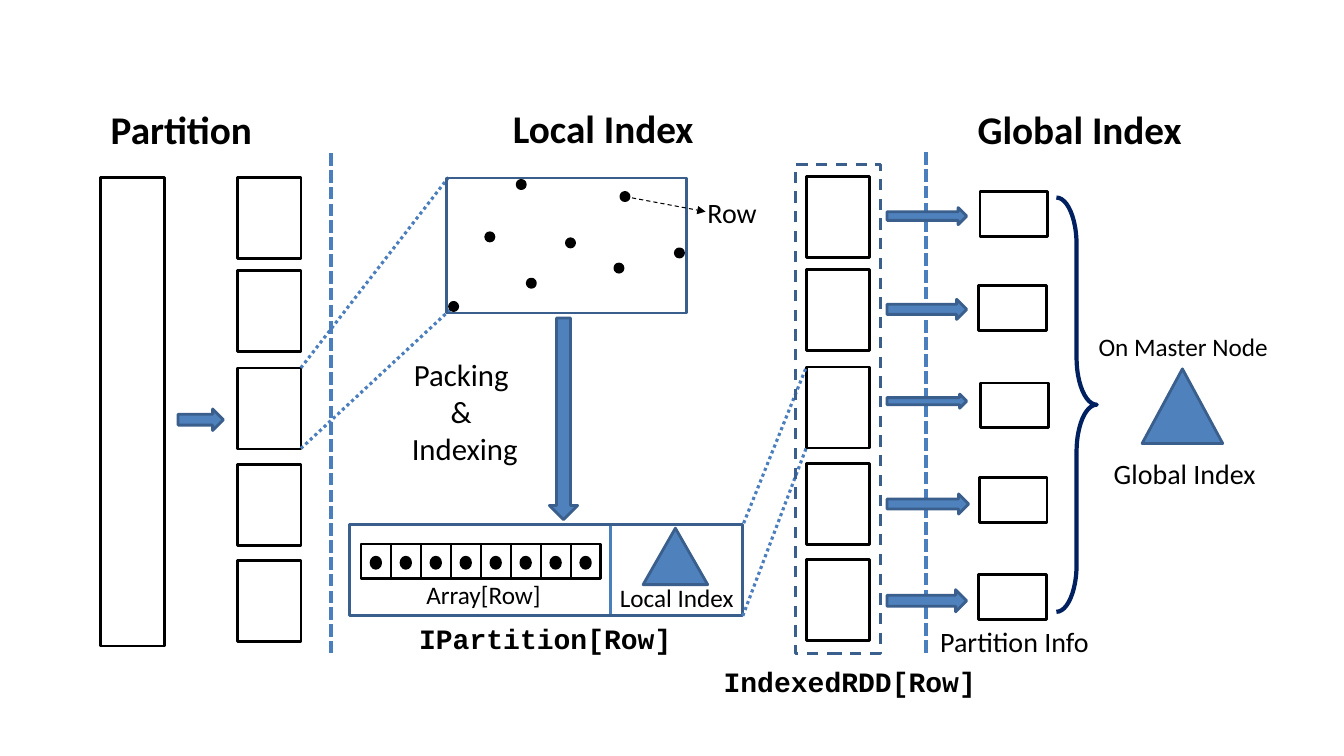
import pptx
import pptx.util
import pptx.dml.color
import pptx.enum.dml
import pptx.enum.shapes
import pptx.enum.text
import pptx.oxml
import pptx.oxml.ns

Pt = pptx.util.Pt
RGBColor = pptx.dml.color.RGBColor
Shape = pptx.enum.shapes.MSO_SHAPE
Dash = pptx.enum.dml.MSO_LINE
Align = pptx.enum.text.PP_ALIGN

BLACK = RGBColor(0x00, 0x00, 0x00)
WHITE = RGBColor(0xFF, 0xFF, 0xFF)
BLUE = RGBColor(0x4F, 0x81, 0xBD)
EDGE = RGBColor(0x3A, 0x5F, 0x8C)
GUIDE = RGBColor(0x4B, 0x7E, 0xBC)
NAVY = RGBColor(0x00, 0x20, 0x60)

BLOCK_WIDTH, BLOCK_HEIGHT = 45.4, 57.9
BLOCK_TOPS = [126.7, 193, 262.8, 331.9, 400.3]
RDD_RISE = 0.7
SLOT_COUNT, SLOT_PITCH = 8, 21.4
POINT_SIZE = 5.8
POINTS = [(321.1, 216), (347, 166.3), (369.4, 128.9), (443.5, 137.5),
          (482.4, 177.8), (376.6, 199.4), (404.6, 170.6), (439.2, 188.6)]
# Each row: arrow top, width and height, then left and top of its info box
INFO_ROWS = [(148.3, 56.9, 12.2, 700, 136.8),
             (213.8, 56.9, 14.4, 699.1, 203.8),
             (281.5, 56.9, 10.1, 700.6, 273.6),
             (352.8, 58.3, 14.4, 699.8, 341.3),
             (421.2, 56.9, 15.8, 699.1, 410.4)]


def add_figure(page, kind, left, top, width, height, fill=None, edge=BLACK,
               weight=2, dash=None):
    figure = page.shapes.add_shape(kind, Pt(left), Pt(top), Pt(width), Pt(height))
    figure.shadow.inherit = False
    if fill is None:
        figure.fill.background()
    else:
        figure.fill.solid()
        figure.fill.fore_color.rgb = fill
    figure.line.color.rgb = edge
    figure.line.width = Pt(weight)
    if dash is not None:
        figure.line.dash_style = dash
    return figure


def add_blue(page, kind, left, top, width, height):
    """Add a filled blue arrow or triangle."""
    return add_figure(page, kind, left, top, width, height, fill=BLUE, edge=EDGE)


def add_dot(page, left, top, width, height):
    return add_figure(page, Shape.OVAL, left, top, width, height, fill=BLACK)


def add_line(page, start, end, color=GUIDE, weight=2.25, dash=None, arrow=False):
    line = page.shapes.add_connector(
        pptx.enum.shapes.MSO_CONNECTOR.STRAIGHT,
        Pt(start[0]), Pt(start[1]), Pt(end[0]), Pt(end[1]))
    line.line.color.rgb = color
    line.line.width = Pt(weight)
    if dash is not None:
        line.line.dash_style = dash
    if arrow:
        head = pptx.oxml.parse_xml(
            '<a:tailEnd %s type="triangle"/>' % pptx.oxml.ns.nsdecls("a"))
        line.line._get_or_add_ln().append(head)
    effects = pptx.oxml.parse_xml("<a:effectLst %s/>" % pptx.oxml.ns.nsdecls("a"))
    line._element.spPr.append(effects)


def add_text(page, text, left, top, width, height, size=20, bold=False,
             font="Calibri", align=Align.LEFT):
    box = page.shapes.add_textbox(Pt(left), Pt(top), Pt(width), Pt(height))
    frame = box.text_frame
    frame.word_wrap = False
    frame.auto_size = pptx.enum.text.MSO_AUTO_SIZE.SHAPE_TO_FIT_TEXT
    frame.text = text
    for para in frame.paragraphs:
        para.alignment = align
        for span in para.runs:
            span.font.name = font
            span.font.size = Pt(size)
            span.font.bold = bold
            span.font.color.rgb = BLACK


def add_blocks(page, left, rise=0):
    """Add the column of five partitions, lifted by rise."""
    for top in BLOCK_TOPS:
        add_figure(page, Shape.RECTANGLE, left, top - rise, BLOCK_WIDTH, BLOCK_HEIGHT)


def draw_partition(page):
    add_text(page, "Partition", 72, 72, 116.6, 41, size=28, bold=True)
    add_figure(page, Shape.RECTANGLE, 72, 126.7, BLOCK_WIDTH, 334.8)
    add_blocks(page, 169.7)
    add_blue(page, Shape.RIGHT_ARROW, 127.2, 292.1, 32.4, 15.4)
    add_line(page, (236.2, 109.4), (236.2, 466.6), weight=3, dash=Dash.SQUARE_DOT)


def draw_local_index(page):
    add_text(page, "Local Index", 359.3, 71.3, 145.4, 41, size=28, bold=True)
    add_line(page, (214.9, 262.8), (320.4, 126.7), dash=Dash.ROUND_DOT)
    add_line(page, (214.9, 320.4), (321.8, 221), dash=Dash.ROUND_DOT)
    add_figure(page, Shape.RECTANGLE, 319, 127.2, 171.4, 96.5, edge=EDGE)
    for left, top in POINTS:
        add_dot(page, left, top, POINT_SIZE, POINT_SIZE)
    add_line(page, (446.4, 140.4), (504, 151.2), color=BLACK, weight=0.75,
             dash=Dash.DASH, arrow=True)
    add_text(page, "Row", 498.2, 136.1, 49.7, 31.7)
    add_blue(page, Shape.DOWN_ARROW, 392.4, 227.2, 20.2, 144)
    add_text(page, "Packing \n& \nIndexing", 286.6, 250.6, 90.7, 87.1, size=22,
             align=Align.CENTER)


def draw_indexed_partition(page):
    add_line(page, (436.3, 374.4), (436.3, 439.2))
    add_figure(page, Shape.RECTANGLE, 249.6, 374.4, 281, 65.5, edge=EDGE)
    for index in range(SLOT_COUNT):
        left = 257.8 + index * SLOT_PITCH
        add_figure(page, Shape.RECTANGLE, left, 388.8, SLOT_PITCH, 24.5,
                   fill=WHITE, weight=1.5)
        add_dot(page, left + 7.3, 398, 6.8, 7.9)
    add_blue(page, Shape.ISOSCELES_TRIANGLE, 459.4, 377.3, 46.1, 40.3)
    add_text(page, "Array[Row]", 297.4, 410.4, 97.9, 29.5, size=18)
    add_text(page, "Local Index", 435.6, 412.6, 97.2, 29.5, size=18)
    add_text(page, "IPartition[Row]", 292.3, 440.6, 196.6, 31.7, bold=True,
             font="Courier New")


def draw_indexed_rdd(page):
    add_blocks(page, 576, rise=RDD_RISE)
    add_line(page, (531.2, 373.7), (576, 262.1), dash=Dash.ROUND_DOT)
    add_line(page, (530.6, 439.9), (576, 319.7), dash=Dash.ROUND_DOT)
    add_figure(page, Shape.RECTANGLE, 568.1, 117.4, 60.8, 349.2, edge=EDGE,
               dash=Dash.DASH)
    add_text(page, "IndexedRDD[Row]", 509.8, 470.9, 196.6, 31.7, bold=True,
             font="Courier New")


def draw_global_index(page):
    add_text(page, "Global Index", 691.2, 72, 162, 41, size=28, bold=True)
    add_line(page, (661.7, 108.7), (661.7, 466.6), weight=3, dash=Dash.SQUARE_DOT)
    for arrow_top, arrow_width, arrow_height, info_left, info_top in INFO_ROWS:
        add_blue(page, Shape.RIGHT_ARROW, 633.6, arrow_top, arrow_width, arrow_height)
        add_figure(page, Shape.RECTANGLE, info_left, info_top, 48.2, 32)
    add_text(page, "Partition Info", 663.8, 442.8, 121.7, 31.7, align=Align.CENTER)
    brace = add_figure(page, Shape.RIGHT_BRACE, 754.6, 141.1, 28.8, 295.9,
                       edge=NAVY, weight=3)
    brace.adjustments[0] = 1.17
    add_text(page, "On Master Node", 777.6, 233.3, 136.8, 28.8, size=18)
    add_blue(page, Shape.ISOSCELES_TRIANGLE, 815.8, 263.5, 57.6, 53.3)
    add_text(page, "Global Index", 788.4, 322.6, 116.6, 31.7)


def main():
    deck = pptx.Presentation()
    deck.slide_width, deck.slide_height = Pt(960), Pt(540)
    page = deck.slides.add_slide(deck.slide_layouts[6])
    draw_partition(page)
    draw_local_index(page)
    draw_indexed_partition(page)
    draw_global_index(page)
    draw_indexed_rdd(page)
    deck.save("out.pptx")


if __name__ == "__main__":
    main()
